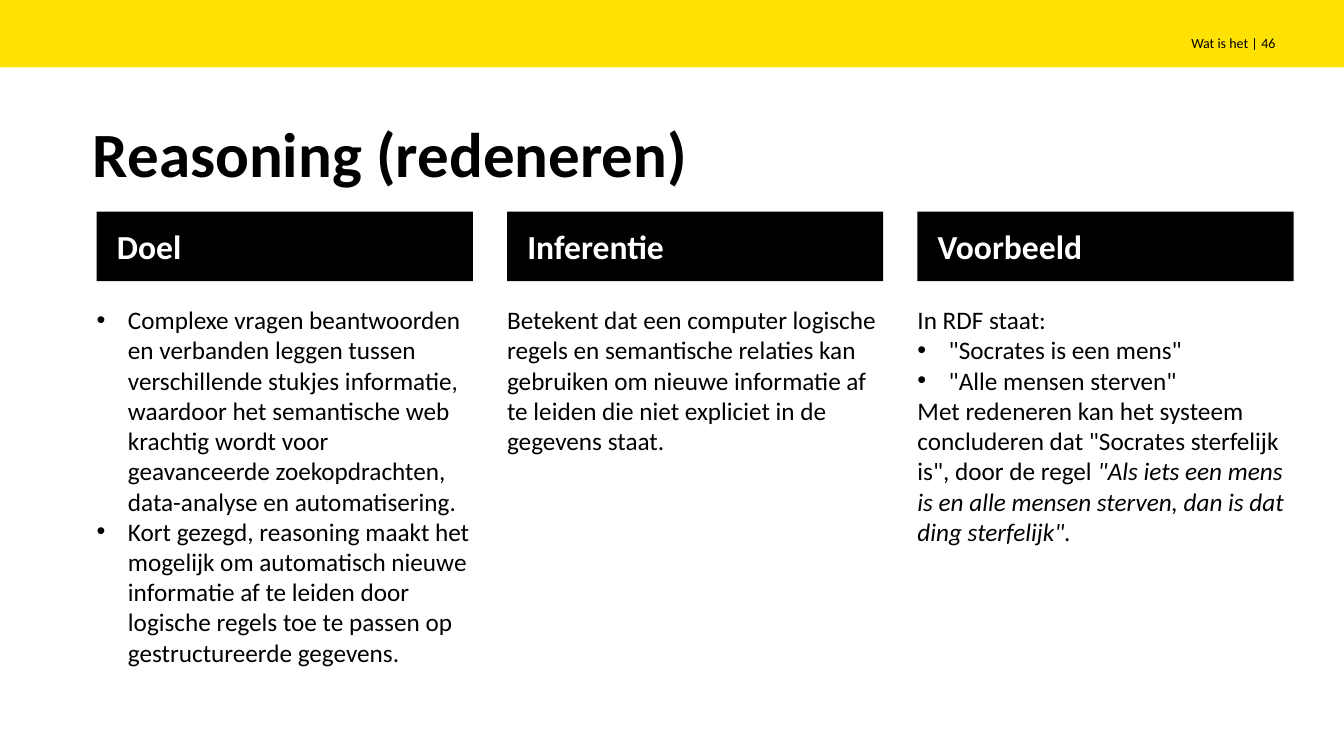
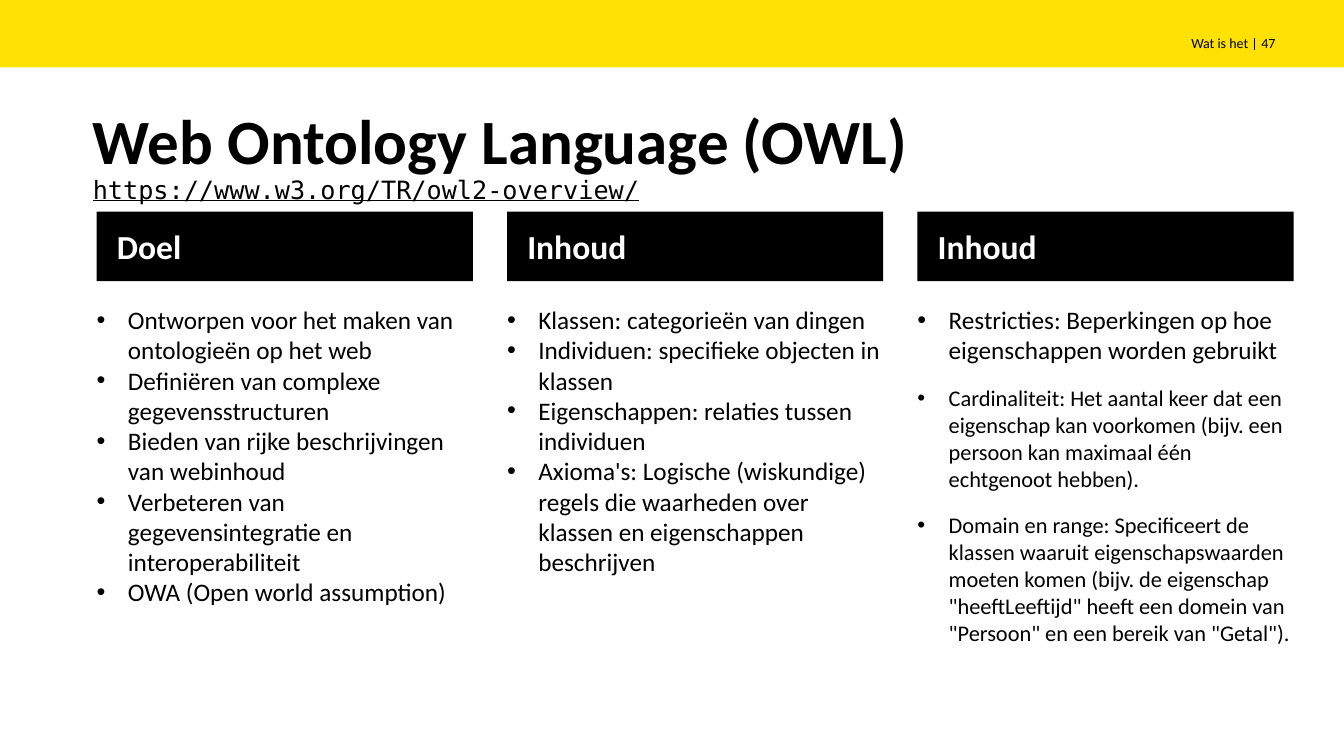
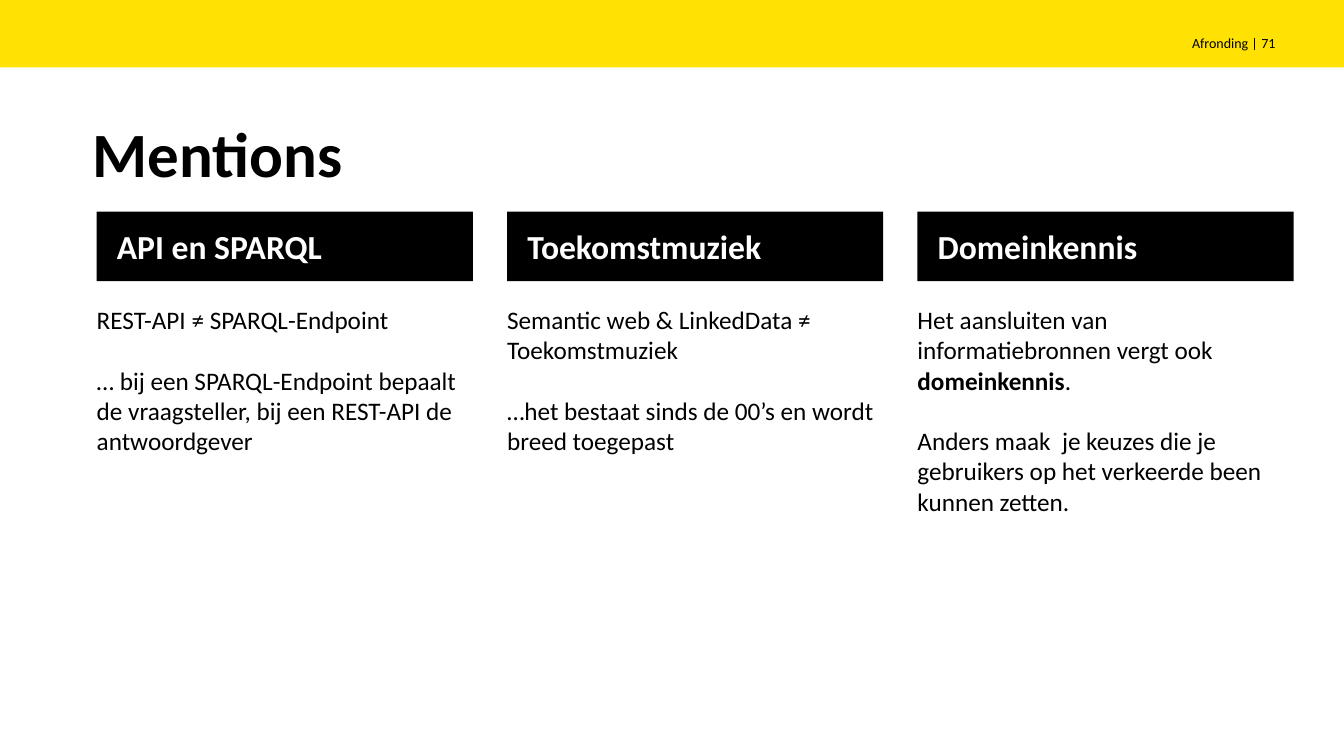
import dataclasses

import lxml.etree
import pptx
import pptx.dml.color
import pptx.enum.shapes
import pptx.enum.text
import pptx.oxml.ns
import pptx.util

Inches = pptx.util.Inches
Pt = pptx.util.Pt
ALIGN = pptx.enum.text.PP_ALIGN
ANCHOR = pptx.enum.text.MSO_ANCHOR
RECTANGLE = pptx.enum.shapes.MSO_SHAPE.RECTANGLE

YELLOW = pptx.dml.color.RGBColor(0xFF, 0xE1, 0x03)
BLACK = pptx.dml.color.RGBColor(0, 0, 0)
WHITE = pptx.dml.color.RGBColor(0xFF, 0xFF, 0xFF)
FONT = "Calibri"
MONO_FONT = "DejaVu Sans Mono"

SLIDE_WIDTH, SLIDE_HEIGHT = 13.33, 7.5
BAND_HEIGHT = 0.67
COLUMN_LEFT, COLUMN_WIDTH, COLUMN_GAP = 0.96, 3.73, 0.34
HEADING_TOP, HEADING_HEIGHT = 2.1, 0.69
BODY_TOP, BODY_HEIGHT = 3.02, 3.94
INDENT = 0.31
BLANK_LINE = 21.6


@dataclasses.dataclass
class Item:
    """A body paragraph; spans are (text, style) with style "", "bold" or "italic"."""
    spans: list
    bullet: bool = False
    size: int = 18
    before: float = 0


def plain(text, before=0):
    return Item([(text, "")], before=before)


def bullet(text, size=18, before=0):
    return Item([(text, "")], True, size, before)


def set_font(font, size, color=BLACK, bold=False):
    font.name = FONT
    font.size = Pt(size)
    font.color.rgb = color
    font.bold = bold


def set_frame(frame, anchor, side=0):
    frame.word_wrap = True
    frame.vertical_anchor = anchor
    frame.margin_left = frame.margin_right = Inches(side)
    frame.margin_top = frame.margin_bottom = 0


def add_text_box(page, area, anchor=ANCHOR.MIDDLE):
    frame = page.shapes.add_textbox(*map(Inches, area)).text_frame
    set_frame(frame, anchor)
    return frame


def add_label(page, area, text, size, bold=False, align=ALIGN.LEFT):
    para = add_text_box(page, area).paragraphs[0]
    para.text = text
    para.alignment = align
    set_font(para.font, size, bold=bold)
    return para


def add_rectangle(page, area, color):
    shape = page.shapes.add_shape(RECTANGLE, *map(Inches, area))
    shape.shadow.inherit = False
    shape.fill.solid()
    shape.fill.fore_color.rgb = color
    shape.line.fill.background()
    return shape


def add_band(page, section, number):
    add_rectangle(page, (0, 0, SLIDE_WIDTH, BAND_HEIGHT), YELLOW)
    ends = map(Inches, (12.44, 0.38, 12.44, 0.5))
    divider = page.shapes.add_connector(
        pptx.enum.shapes.MSO_CONNECTOR.STRAIGHT, *ends)
    divider.line.color.rgb = BLACK
    divider.line.width = Pt(1)
    lxml.etree.SubElement(divider._element.spPr, pptx.oxml.ns.qn("a:effectLst"))
    middle = SLIDE_WIDTH / 2
    add_label(page, (middle, 0.26, 12.38 - middle, 0.34), section, 10,
              align=ALIGN.RIGHT)
    add_label(page, (12.51, 0.26, 0.58, 0.34), str(number), 10)


def add_title(page, title, address):
    para = add_label(page, (0.92, 1.19, 11.88, 0.74), title, 45, bold=True)
    para.line_spacing = 0.9
    if address:
        para.add_line_break()
        span = para.add_run()
        span.text = address
        span.font.name = MONO_FONT
        span.font.size = Pt(18)
        span.font.bold = False
        span.font.underline = True


def add_bullet(para):
    properties = para._p.get_or_add_pPr()
    properties.set("marL", str(Inches(INDENT)))
    properties.set("indent", str(-Inches(INDENT)))
    for tag, name, value in (("a:buFont", "typeface", "Arial"),
                             ("a:buChar", "char", "•")):
        lxml.etree.SubElement(properties, pptx.oxml.ns.qn(tag)).set(name, value)


def add_body(page, left, items):
    area = (left, BODY_TOP, COLUMN_WIDTH, BODY_HEIGHT)
    frame = add_text_box(page, area, ANCHOR.TOP)
    for index, item in enumerate(items):
        para = frame.add_paragraph() if index else frame.paragraphs[0]
        if item.bullet:
            add_bullet(para)
        if item.before:
            para.space_before = Pt(item.before)
        set_font(para.font, item.size)
        for text, style in item.spans:
            span = para.add_run()
            span.text = text
            if style == "bold":
                span.font.bold = True
            elif style == "italic":
                span.font.italic = True


def add_heading(page, left, text):
    area = (left, HEADING_TOP, COLUMN_WIDTH, HEADING_HEIGHT)
    frame = add_rectangle(page, area, BLACK).text_frame
    set_frame(frame, ANCHOR.MIDDLE, side=0.2)
    para = frame.paragraphs[0]
    para.text = text
    para.alignment = ALIGN.LEFT
    set_font(para.font, 24, WHITE, bold=True)


def add_page(deck, section, number, title, columns, address=""):
    page = deck.slides.add_slide(deck.slide_layouts[6])
    add_band(page, section, number)
    add_title(page, title, address)
    for index, (heading, items) in enumerate(columns):
        left = COLUMN_LEFT + index * (COLUMN_WIDTH + COLUMN_GAP)
        add_heading(page, left, heading)
        add_body(page, left, items)


REASONING = [
    ("Doel", [
        bullet("Complexe vragen beantwoorden en verbanden leggen tussen "
               "verschillende stukjes informatie, waardoor het semantische web "
               "krachtig wordt voor geavanceerde zoekopdrachten, data-analyse "
               "en automatisering."),
        bullet("Kort gezegd, reasoning maakt het mogelijk om automatisch nieuwe "
               "informatie af te leiden door logische regels toe te passen op "
               "gestructureerde gegevens."),
    ]),
    ("Inferentie", [
        plain("Betekent dat een computer logische regels en semantische relaties "
              "kan gebruiken om nieuwe informatie af te leiden die niet expliciet "
              "in de gegevens staat."),
    ]),
    ("Voorbeeld", [
        plain("In RDF staat:"),
        bullet('"Socrates is een mens"'),
        bullet('"Alle mensen sterven"'),
        Item([("Met redeneren kan het systeem concluderen dat "
               '"Socrates sterfelijk is", door de regel ', ""),
              ('"Als iets een mens is en alle mensen sterven, '
               'dan is dat ding sterfelijk".', "italic")]),
    ]),
]

OWL = [
    ("Doel", [
        bullet("Ontworpen voor het maken van ontologieën op het web"),
        bullet("Definiëren van complexe gegevensstructuren"),
        bullet("Bieden van rijke beschrijvingen van webinhoud"),
        bullet("Verbeteren van gegevensintegratie en interoperabiliteit"),
        bullet("OWA (Open world assumption)"),
    ]),
    ("Inhoud", [
        bullet("Klassen: categorieën van dingen"),
        bullet("Individuen: specifieke objecten in klassen"),
        bullet("Eigenschappen: relaties tussen individuen"),
        bullet("Axioma's: Logische (wiskundige) regels die waarheden over "
               "klassen en eigenschappen beschrijven"),
    ]),
    ("Inhoud", [
        bullet("Restricties: Beperkingen op hoe eigenschappen worden gebruikt"),
        bullet("Cardinaliteit: Het aantal keer dat een eigenschap kan voorkomen "
               "(bijv. een persoon kan maximaal één echtgenoot hebben).",
               size=16, before=14),
        bullet("Domain en range: Specificeert de klassen waaruit "
               "eigenschapswaarden moeten komen (bijv. de eigenschap "
               '"heeftLeeftijd" heeft een domein van "Persoon" en een bereik '
               'van "Getal").', size=16, before=14),
    ]),
]

MENTIONS = [
    ("API en SPARQL", [
        plain("REST-API ≠ SPARQL-Endpoint"),
        plain("… bij een SPARQL-Endpoint bepaalt de vraagsteller, "
              "bij een REST-API de antwoordgever", BLANK_LINE),
    ]),
    ("Toekomstmuziek", [
        plain("Semantic web & LinkedData ≠ Toekomstmuziek"),
        plain("…het bestaat sinds de 00’s en wordt breed toegepast", BLANK_LINE),
    ]),
    ("Domeinkennis", [
        Item([("Het aansluiten van informatiebronnen vergt ook ", ""),
              ("domeinkennis", "bold"), (".", "")]),
        plain("Anders maak  je keuzes die je gebruikers op het verkeerde been "
              "kunnen zetten.", BLANK_LINE),
    ]),
]


def main():
    deck = pptx.Presentation()
    deck.slide_width = Inches(SLIDE_WIDTH)
    deck.slide_height = Inches(SLIDE_HEIGHT)
    add_page(deck, "Wat is het", 46, "Reasoning (redeneren)", REASONING)
    add_page(deck, "Wat is het", 47, "Web Ontology Language (OWL)", OWL,
             address="https://www.w3.org/TR/owl2-overview/")
    add_page(deck, "Afronding", 71, "Mentions", MENTIONS)
    deck.save("out.pptx")


if __name__ == "__main__":
    main()
